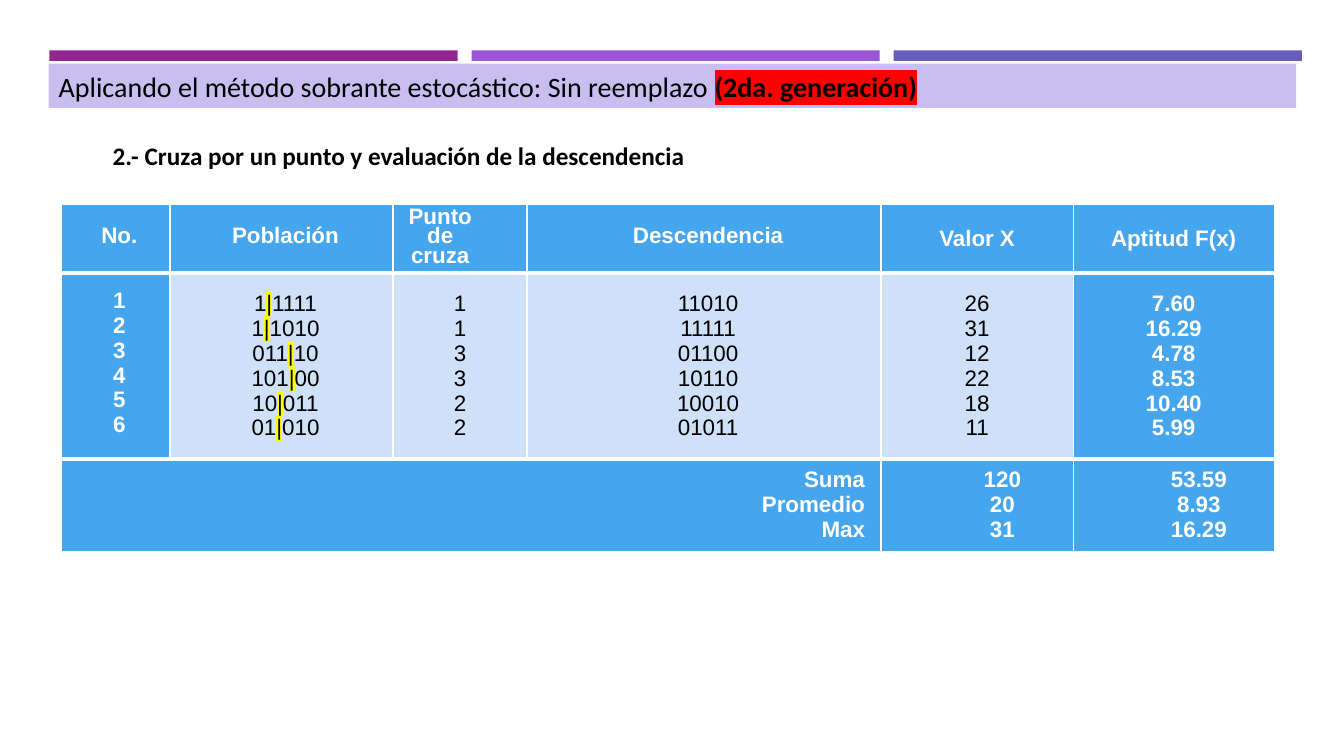
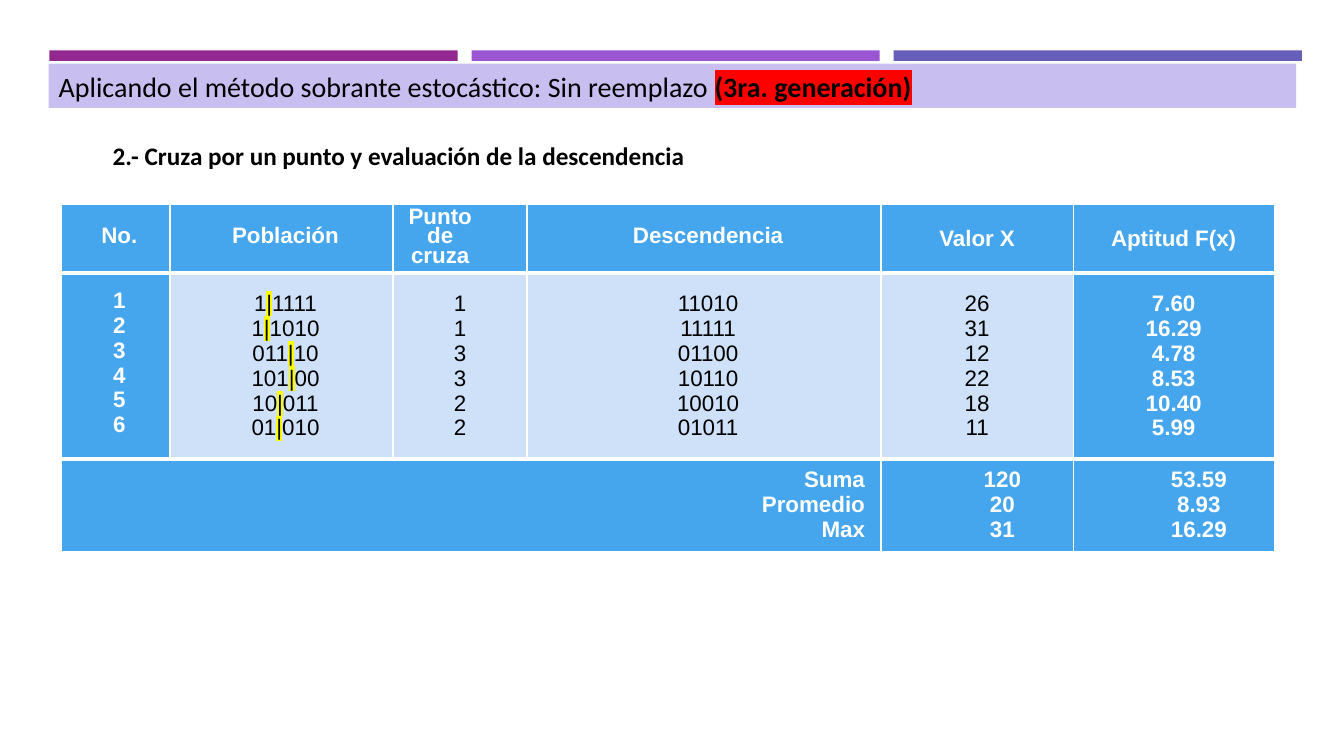
from lxml import etree
from pptx import Presentation
from pptx.dml.color import RGBColor
from pptx.enum import shapes, text
from pptx.oxml import ns
from pptx.util import Pt

BLACK = RGBColor(0, 0, 0)
WHITE = RGBColor(0xFF, 0xFF, 0xFF)
RED = RGBColor(0xFF, 0, 0)
YELLOW = RGBColor(0xFF, 0xFF, 0)
LILAC = RGBColor(0xC8, 0xBE, 0xF0)
BLUE = RGBColor(0x45, 0xA5, 0xED)
PALE_BLUE = RGBColor(0xCF, 0xE1, 0xF8)
BAND_COLORS = (RGBColor(0x92, 0x27, 0x8F), RGBColor(0x9B, 0x57, 0xD3),
               RGBColor(0x66, 0x5E, 0xB8))
LEFT, CENTER, RIGHT = text.PP_ALIGN.LEFT, text.PP_ALIGN.CENTER, text.PP_ALIGN.RIGHT
MIDDLE = text.MSO_ANCHOR.MIDDLE


def add_solid(parent, color):
    fill = etree.SubElement(parent, ns.qn("a:solidFill"))
    etree.SubElement(fill, ns.qn("a:srgbClr"), val=str(color))


def format_run(r, size, font, color, bold=False, highlight=None):
    r.font.size, r.font.name, r.font.bold = Pt(size), font, bold
    r.font.color.rgb = color
    if highlight is not None:
        mark = etree.Element(ns.qn("a:highlight"))
        etree.SubElement(mark, ns.qn("a:srgbClr"), val=str(highlight))
        r.font.fill  
        r._r.get_or_add_rPr().find(ns.qn("a:solidFill")).addnext(mark)


def write(tf, lines, align=LEFT, indent=0, right=0, spacing=None, first_spacing=None, **fmt):
    for i, line in enumerate(lines):
        p = tf.paragraphs[0] if i == 0 else tf.add_paragraph()
        p.alignment = align
        p.space_before = Pt(0)
        line_spacing = first_spacing if i == 0 and first_spacing else spacing
        if line_spacing:
            p.line_spacing = Pt(line_spacing)
        pPr = p._p.get_or_add_pPr()
        pPr.set("marL", str(Pt(indent)))
        pPr.set("marR", str(Pt(right)))
        pPr.set("indent", "0")
        for part in [line] if isinstance(line, str) else line:
            words, extra = (part, {}) if isinstance(part, str) else part
            r = p.add_run()
            r.text = words
            format_run(r, **{**fmt, **extra})


class Deck:
    heading_font = "Calibri"
    table_font = "Arial"

    def __init__(self):
        self.prs = Presentation()
        self.prs.slide_width, self.prs.slide_height = Pt(960), Pt(540)
        self.s = None

    def add_slide(self, title, tag):
        self.s = self.prs.slides.add_slide(self.prs.slide_layouts[5])
        for i, color in enumerate(BAND_COLORS):
            self.band(35.3 + i * 301.5, 36, 291.6, 7.5, color)
        self.title(title, tag)

    def band(self, x, y, w, h, color):
        sp = self.s.shapes.add_shape(shapes.MSO_SHAPE.RECTANGLE, Pt(x), Pt(y), Pt(w), Pt(h))
        sp.shadow.inherit = False
        sp.fill.solid()
        sp.fill.fore_color.rgb = color
        sp.line.fill.background()

    def title(self, title, tag):
        sp = self.s.shapes.title
        sp.left, sp.top, sp.width, sp.height = Pt(34.7), Pt(45.5), Pt(891.2), Pt(31.6)
        sp.fill.solid()
        sp.fill.fore_color.rgb = LILAC
        tf = sp.text_frame
        tf.auto_size = text.MSO_AUTO_SIZE.NONE
        tf.vertical_anchor = MIDDLE
        write(tf, [[title, (tag, dict(bold=True, highlight=RED))]],
              size=20, font=self.heading_font, color=BLACK)

    def subtitle(self, line):
        sp = self.s.shapes.add_textbox(Pt(20.9), Pt(96.5), Pt(527.8), Pt(29))
        sp.text_frame.word_wrap = True
        write(sp.text_frame, [line], align=CENTER, size=18,
              font=self.heading_font, color=BLACK, bold=True)

    def table(self, x, y, widths, heights):
        frame = self.s.shapes.add_table(len(heights), len(widths), Pt(x), Pt(y),
                                        Pt(sum(widths)), Pt(sum(heights)))
        table = frame.table
        table.horz_banding = False
        for col, w in zip(table.columns, widths):
            col.width = Pt(w)
        for row, h in zip(table.rows, heights):
            row.height = Pt(h)
        return table

    def cell(self, cell, lines, fill=BLUE, top=1, bottom=1, **fmt):
        cell.margin_left = cell.margin_right = cell.margin_top = cell.margin_bottom = 0
        cell.vertical_anchor = MIDDLE
        cell.fill.solid()
        cell.fill.fore_color.rgb = fill
        tcPr = cell._tc.get_or_add_tcPr()
        for i, (side, width) in enumerate(zip("LRTB", (1, 1, top, bottom))):
            ln = etree.Element(ns.qn("a:ln" + side), w=str(Pt(width)))
            add_solid(ln, WHITE)
            tcPr.insert(i, ln)
        pale = fill == PALE_BLUE
        write(cell.text_frame, lines, **{
            "align": CENTER, "size": 16, "font": self.table_font,
            "color": BLACK if pale else WHITE, "bold": not pale, **fmt})


HEADERS = (
    ("No.", dict(indent=5, spacing=13.8)),
    ("Población", dict(indent=5.8, spacing=13.8)),
    ("Punto de cruza", dict(indent=5.8, right=34, spacing=13.8)),
    ("Descendencia", dict(indent=5.8, spacing=13.8)),
    ("Valor X", {}),
    ("Aptitud F(x)", {}),
)
POPULATION = ("1|1111", "1|1010", "011|10", "101|00", "10|011", "01|010")
CUT = ("|", dict(highlight=YELLOW))
BODY = (
    ("123456", dict(indent=5, first_spacing=13.3)),
    ([[head, CUT, tail] for head, tail in (code.split("|") for code in POPULATION)],
     dict(fill=PALE_BLUE, indent=5.8)),
    ("113322", dict(fill=PALE_BLUE)),
    (("11010", "11111", "01100", "10110", "10010", "01011"),
     dict(fill=PALE_BLUE, indent=5.8)),
    (("26", "31", "12", "22", "18", "11"), dict(fill=PALE_BLUE)),
    (("7.60", "16.29", "4.78", "8.53", "10.40", "5.99"), {}),
)
TOTALS = (
    (0, ("Suma", "Promedio", "Max"), dict(align=RIGHT, indent=5, right=11.5)),
    (4, ("120", "20", "31"), dict(indent=36)),
    (5, ("53.59", "8.93", "16.29"), dict(indent=36)),
)


def crossover_slide(deck, generation):
    deck.add_slide("Aplicando el método sobrante estocástico: Sin reemplazo ",
                   f"({generation}. generación)")
    deck.subtitle("2.- Cruza por un punto y evaluación de la descendencia")
    table = deck.table(44.2, 146.2, (77.2, 159.3, 95.8, 252.9, 137.3, 143.5),
                       (49, 132.5, 66))
    for col, (label, fmt) in enumerate(HEADERS):
        deck.cell(table.cell(0, col), [label], bottom=3, **fmt)
    for col, (lines, fmt) in enumerate(BODY):
        deck.cell(table.cell(1, col), lines, top=3, bottom=3, **fmt)
    table.cell(2, 0).merge(table.cell(2, 3))
    for col, lines, fmt in TOTALS:
        deck.cell(table.cell(2, col), lines, top=3, **fmt)


deck = Deck()
for generation in ("2da", "3ra"):
    crossover_slide(deck, generation)
deck.prs.save("out.pptx")
